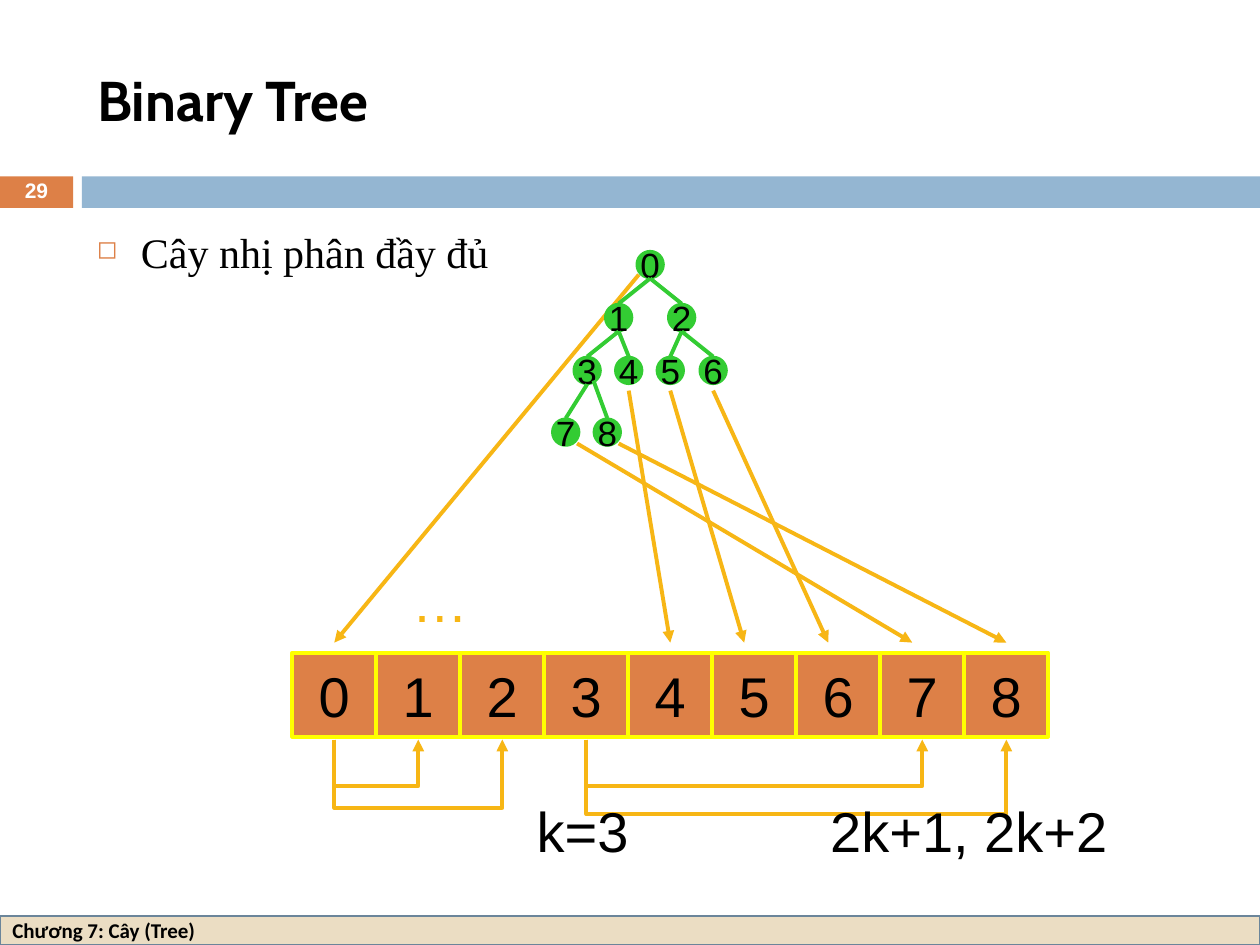
from lxml.etree import SubElement
from pptx import Presentation
from pptx.dml.color import RGBColor
from pptx.enum.shapes import MSO_CONNECTOR, MSO_SHAPE
from pptx.enum.text import MSO_ANCHOR, PP_ALIGN
from pptx.oxml.ns import qn
from pptx.util import Inches, Pt

BLACK = RGBColor(0x00, 0x00, 0x00)
WHITE = RGBColor(0xFF, 0xFF, 0xFF)
ORANGE = RGBColor(0xDD, 0x80, 0x47)
BLUE = RGBColor(0x94, 0xB6, 0xD2)
SAND = RGBColor(0xEB, 0xDD, 0xC3)
SLATE = RGBColor(0x6B, 0x85, 0x9A)
GREEN = RGBColor(0x33, 0xCC, 0x33)
YELLOW = RGBColor(0xFF, 0xFF, 0x00)
AMBER = RGBColor(0xF7, 0xB6, 0x15)

# Content
TITLE = "Binary Tree"
BULLET = "Cây nhị phân đầy đủ"
PAGE_NUMBER = "29"
FOOTER = "Chương 7: Cây (Tree)"
LABELS = [  # text, left, top, width, colour
    ("…", 3.17, 4.45, 0.64, AMBER),
    ("2k+1, 2k+2", 6.49, 6.27, 2.4, BLACK),
    ("k=3", 4.16, 6.27, 0.93, BLACK),
]

# Tree: node centres in heap order, so the parent of n is (n - 1) // 2
NODE_CENTRES = [
    (5.16, 2.1),
    (4.91, 2.52), (5.41, 2.52),
    (4.66, 2.94), (4.99, 2.94), (5.32, 2.94), (5.66, 2.94),
    (4.49, 3.43), (4.82, 3.43),
]
NODE_SIZE = 0.17
EDGE_GAP = 0.11  # from a node's centre to an edge's end
EDGE_SHIFTS = {8: (0.05, -0.03)}  # edge start moved, by child

# Array: equal cells, one per node
CELL = 2 / 3
ARRAY_LEFT, ARRAY_TOP = 2.32, 5.18
ARROW_END = 5.1
NODE_ARROWS = {  # node: (start offset from centre, end offset from cell centre)
    0: (-0.09, 0.08, 0),
    8: (0.09, 0.09, 0),
    7: (0.09, 0.09, -0.08),
    6: (0, 0.16, -0.08),
    5: (0, 0.16, -0.08),
    4: (0, 0.16, 0),
}
CHILD_ARROWS = [(0, 1, 6.24), (0, 2, 6.41), (3, 7, 6.24), (3, 8, 6.46)]
CHILD_ARROW_TOP = 5.87

deck = Presentation()
deck.slide_width, deck.slide_height = Inches(10), Inches(7.5)
page = deck.slides.add_slide(deck.slide_layouts[5])


def write(box, text, size, color, font="Arial", bold=False,
          align=PP_ALIGN.CENTER, anchor=MSO_ANCHOR.MIDDLE, before=0, wrap=False):
    frame = box.text_frame
    frame.word_wrap = wrap
    frame.vertical_anchor = anchor
    para = frame.paragraphs[0]
    para.text = text
    para.alignment = align
    para.space_before = Pt(before)
    para.font.name = font
    para.font.size = Pt(size)
    para.font.bold = bold
    para.font.color.rgb = color
    return para


def add_box(kind, left, top, width, height, fill, line=None, line_width=2.25):
    box = page.shapes.add_shape(kind, Inches(left), Inches(top),
                                Inches(width), Inches(height))
    box.shadow.inherit = False
    box.fill.solid()
    box.fill.fore_color.rgb = fill
    if line is None:
        box.line.fill.background()
    else:
        box.line.color.rgb = line
        box.line.width = Pt(line_width)
    return box


def add_text_box(left, top, width, height):
    return page.shapes.add_textbox(Inches(left), Inches(top),
                                   Inches(width), Inches(height))


def style_line(shape, color, arrow):
    shape.line.color.rgb = color
    shape.line.width = Pt(2.25)
    if arrow:
        SubElement(shape.line._get_or_add_ln(), qn("a:tailEnd"), type="triangle")


def add_line(start, end, color, arrow=False):
    line = page.shapes.add_connector(MSO_CONNECTOR.STRAIGHT,
                                     *map(Inches, (*start, *end)))
    style_line(line, color, arrow)
    SubElement(line._element.spPr, qn("a:effectLst"))


def cell_centre(index):
    return ARRAY_LEFT + (index + 0.5) * CELL


def add_node_arrow(node):
    dx, dy, end_shift = NODE_ARROWS[node]
    x, y = NODE_CENTRES[node]
    add_line((x + dx, y + dy), (cell_centre(node) + end_shift, ARROW_END),
             AMBER, arrow=True)


# Bands and footer
add_box(MSO_SHAPE.RECTANGLE, 0, 1.4, 0.58, 0.25, ORANGE)
add_box(MSO_SHAPE.RECTANGLE, 0.65, 1.4, 9.35, 0.25, BLUE)
footer = add_box(MSO_SHAPE.RECTANGLE, 0, 7.27, 10, 0.23, SAND, SLATE, 1.5)
write(footer, FOOTER, 12, BLACK, "Calibri", True, PP_ALIGN.LEFT, wrap=True)

# Title
title = page.shapes.title
title.left, title.top = Inches(0.67), Inches(0.25)
title.width, title.height = Inches(8.92), Inches(1.08)
write(title, TITLE, 32, BLACK, "Cabin", True, PP_ALIGN.LEFT, wrap=True)

# Bullet
body = add_text_box(0.67, 1.75, 8.92, 4.95)
para = write(body, BULLET, 24, BLACK, "Times New Roman", align=PP_ALIGN.LEFT,
             anchor=MSO_ANCHOR.TOP, before=7, wrap=True)
properties = para._p.get_or_add_pPr()
properties.set("marL", str(Inches(0.35)))
properties.set("indent", str(-Inches(0.35)))
bullet_color = SubElement(properties, qn("a:buClr"))
SubElement(bullet_color, qn("a:srgbClr"), val=str(ORANGE))
SubElement(properties, qn("a:buSzPct"), val="60000")
SubElement(properties, qn("a:buChar"), char="◻")
# The default run properties must follow the bullet
properties.append(properties.find(qn("a:defRPr")))

# Page number
number = add_text_box(0, 1.39, 0.58, 0.27)
write(number, PAGE_NUMBER, 12, WHITE, bold=True, wrap=True).line_spacing = 0.8

# Tree, with the root's arrow behind the nodes
add_node_arrow(0)
for index, (x, y) in enumerate(NODE_CENTRES):
    node = add_box(MSO_SHAPE.OVAL, x - NODE_SIZE / 2, y - NODE_SIZE / 2,
                   NODE_SIZE, NODE_SIZE, GREEN, GREEN, 4.5)
    write(node, str(index), 20, BLACK, before=5)
for child in range(1, len(NODE_CENTRES)):
    x, y = NODE_CENTRES[(child - 1) // 2]
    child_x, child_y = NODE_CENTRES[child]
    dx, dy = EDGE_SHIFTS.get(child, (0, 0))
    add_line((x + dx, y + EDGE_GAP + dy), (child_x, child_y - EDGE_GAP), GREEN)

# Array
for index in range(len(NODE_CENTRES)):
    cell = add_box(MSO_SHAPE.RECTANGLE, ARRAY_LEFT + index * CELL, ARRAY_TOP,
                   CELL, CELL, ORANGE, YELLOW)
    write(cell, str(index), 32, BLACK, before=8)
for node in list(NODE_ARROWS)[1:]:
    add_node_arrow(node)

# Arrows from a parent's cell to its children's cells
for parent, child, bottom in CHILD_ARROWS:
    start, end = cell_centre(parent), cell_centre(child)
    builder = page.shapes.build_freeform(Inches(start), Inches(CHILD_ARROW_TOP))
    corners = [(start, bottom), (end, bottom), (end, CHILD_ARROW_TOP)]
    builder.add_line_segments([(Inches(x), Inches(y)) for x, y in corners],
                              close=False)
    bracket = builder.convert_to_shape()
    bracket.shadow.inherit = False
    bracket.fill.background()
    style_line(bracket, AMBER, arrow=True)

# Labels
for text, left, top, width, color in LABELS:
    label = add_text_box(left, top, width, 0.64)
    write(label, text, 32, color, anchor=MSO_ANCHOR.TOP, before=8)

deck.save("out.pptx")
